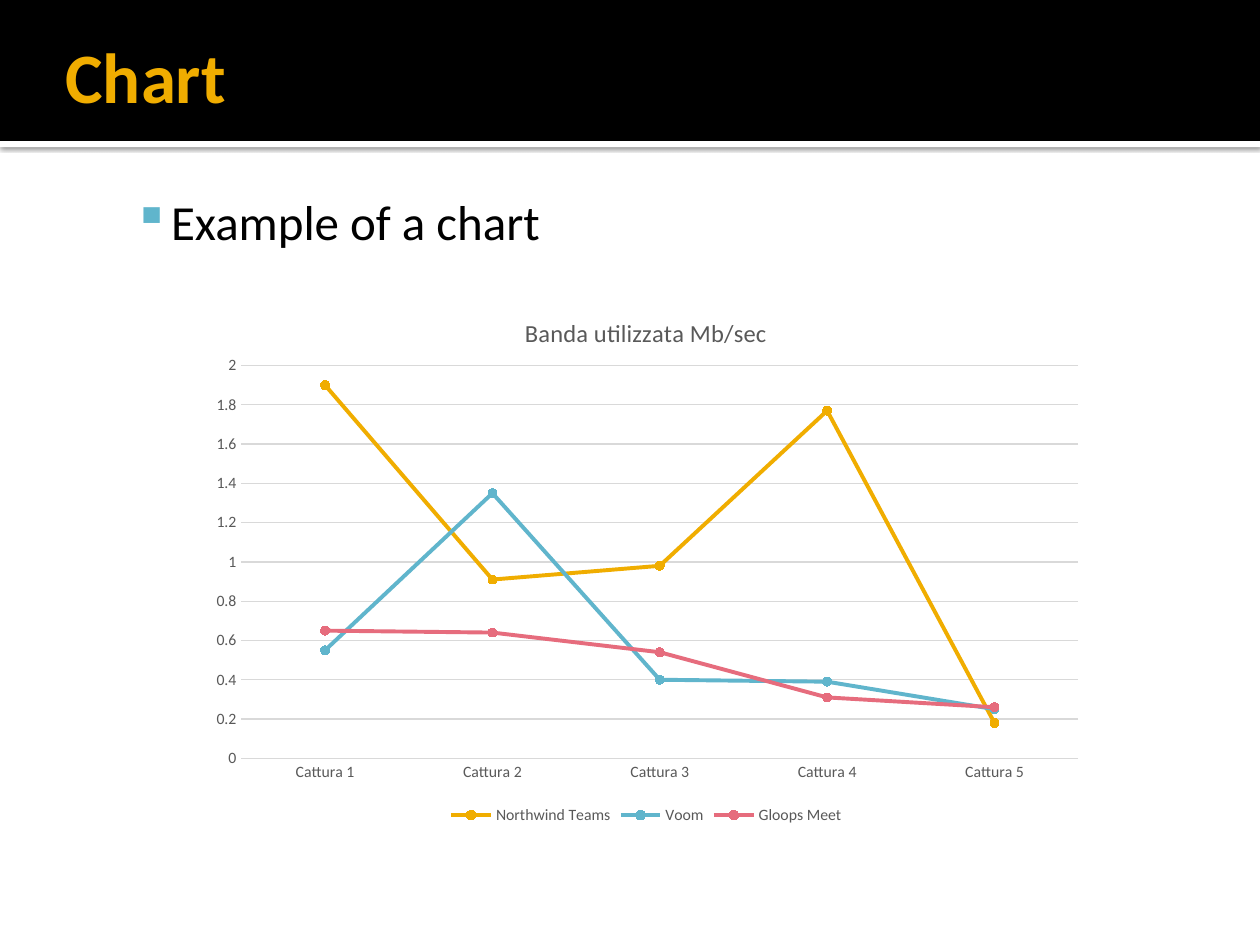
from lxml import etree
from pptx import Presentation
from pptx.chart.data import CategoryChartData
from pptx.dml.color import RGBColor
from pptx.enum.chart import XL_CHART_TYPE, XL_LEGEND_POSITION, XL_MARKER_STYLE, XL_TICK_MARK
from pptx.enum.shapes import MSO_SHAPE
from pptx.enum.text import MSO_ANCHOR, PP_ALIGN
from pptx.oxml.ns import qn
from pptx.util import Cm, Pt

LINE_MARKERS = XL_CHART_TYPE.LINE_MARKERS
LEGEND_BOTTOM = XL_LEGEND_POSITION.BOTTOM
CIRCLE = XL_MARKER_STYLE.CIRCLE
NO_TICK = XL_TICK_MARK.NONE
RECTANGLE = MSO_SHAPE.RECTANGLE
TOP, MIDDLE = MSO_ANCHOR.TOP, MSO_ANCHOR.MIDDLE
LEFT = PP_ALIGN.LEFT

FONT = "Calibri"
GOLD, BLUE, PINK = "F0AD00", "60B5CC", "E66C7D"
BLACK, WHITE, GREY, GRID = "000000", "FFFFFF", "595959", "D9D9D9"
TITLE_ONLY = 5

CATEGORIES = [f"Cattura {number}" for number in range(1, 6)]
SERIES = [
    ("Northwind Teams", GOLD, (1.9, 0.91, 0.98, 1.77, 0.18)),
    ("Voom", BLUE, (0.55, 1.35, 0.4, 0.39, 0.25)),
    ("Gloops Meet", PINK, (0.65, 0.64, 0.54, 0.31, 0.26)),
]


def color(value):
    return RGBColor.from_string(value)


def set_font(font, size, value, bold=False):
    font.name = FONT
    font.size = Pt(size)
    font.bold = bold
    font.color.rgb = color(value)


def set_line(line, value, width):
    line.color.rgb = color(value)
    line.width = Pt(width)


def set_frame(frame, anchor, margins):
    frame.word_wrap = True
    frame.vertical_anchor = anchor
    (frame.margin_left, frame.margin_top,
     frame.margin_right, frame.margin_bottom) = [Cm(margin) for margin in margins]


def add_band(slide, left, top, width, height, fill):
    band = slide.shapes.add_shape(RECTANGLE, Cm(left), Cm(top), Cm(width), Cm(height))
    band.fill.solid()
    band.fill.fore_color.rgb = color(fill)
    band.line.fill.background()
    band.shadow.inherit = False
    return band


def add_drop_shadow(shape):
    effects = shape._element.spPr.find(qn("a:effectLst"))
    shadow = etree.SubElement(effects, qn("a:outerShdw"), blurRad=str(Pt(2.5)),
                              dist=str(Pt(0.8)), dir="5400000", rotWithShape="0")
    shade = etree.SubElement(shadow, qn("a:srgbClr"), val=BLACK)
    etree.SubElement(shade, qn("a:alpha"), val="60000")


def add_header(slide, left, top, width, height):
    # White strip with its shadow, then the black band
    strip = add_band(slide, left, top + height, width, 0.13, WHITE)
    add_drop_shadow(strip)
    add_band(slide, left, top, width, height, BLACK)

    # Title, brought in front of the band
    title = slide.shapes.title
    slide.shapes._spTree.append(title._element)
    title.left, title.top = Cm(left + 1.07), Cm(top + 0.64)
    title.width, title.height = Cm(18.14), Cm(1.8)
    set_frame(title.text_frame, MIDDLE, (0.25, 0.08, 0.13, 0.13))
    title.text_frame.text = "Chart"
    paragraph = title.text_frame.paragraphs[0]
    paragraph.alignment = LEFT
    set_font(paragraph.font, 40.5, GOLD, bold=True)


def add_bullet_text(slide, left, top, width, height, text):
    box = slide.shapes.add_textbox(Cm(left), Cm(top), Cm(width), Cm(height))
    set_frame(box.text_frame, TOP, (0.15, 0.25, 0.25, 0.13))
    paragraph = box.text_frame.paragraphs[0]
    paragraph.text = text
    properties = paragraph._p.get_or_add_pPr()
    properties.set("marL", str(Cm(2.03)))
    properties.set("indent", str(Cm(-0.76)))
    bullet_color = etree.SubElement(properties, qn("a:buClr"))
    etree.SubElement(bullet_color, qn("a:srgbClr"), val=BLUE)
    etree.SubElement(properties, qn("a:buChar"), char="▪")
    set_font(paragraph.font, 28, BLACK)


def set_layout(parent, following, **fractions):
    """Place a chart part by fractions of the chart's size."""
    for old in parent.findall(qn("c:layout")):
        parent.remove(old)
    layout = etree.Element(qn("c:layout"))
    manual = etree.SubElement(layout, qn("c:manualLayout"))
    if "w" in fractions:
        etree.SubElement(manual, qn("c:layoutTarget"), val="inner")
    for axis in "xy":
        etree.SubElement(manual, qn(f"c:{axis}Mode"), val="edge")
    for name, fraction in fractions.items():
        etree.SubElement(manual, qn(f"c:{name}"), val=str(fraction))
    parent.find(qn(following)).addprevious(layout)


def add_bandwidth_chart(slide, left, top, width, height):
    data = CategoryChartData()
    data.categories = CATEGORIES
    for name, _, values in SERIES:
        data.add_series(name, values)
    chart = slide.shapes.add_chart(LINE_MARKERS, Cm(left), Cm(top),
                                   Cm(width), Cm(height), data).chart
    set_font(chart.font, 10, BLACK)

    # Title and legend
    chart.has_title = True
    title = chart.chart_title
    title.text_frame.text = "Banda utilizzata Mb/sec"
    set_font(title.text_frame.paragraphs[0].font, 14, GREY)
    title.include_in_layout = False
    set_layout(title._element, "c:overlay", x=0.36, y=0.05)
    chart.has_legend = True
    chart.legend.position = LEGEND_BOTTOM
    chart.legend.include_in_layout = False
    set_font(chart.legend.font, 9, GREY)

    # Axes
    for axis in (chart.category_axis, chart.value_axis):
        axis.major_tick_mark = axis.minor_tick_mark = NO_TICK
        set_font(axis.tick_labels.font, 9, GREY)
    set_line(chart.category_axis.format.line, GRID, 0.75)
    values = chart.value_axis
    values.minimum_scale, values.maximum_scale, values.major_unit = 0, 2, 0.2
    values.format.line.fill.background()
    set_line(values.major_gridlines.format.line, GRID, 0.75)

    # Series
    plot = chart.plots[0]
    plot.vary_by_categories = False
    set_layout(plot._element.getparent(), "c:lineChart", x=0.05, y=0.15, w=0.93, h=0.72)
    for series, (_, value, _) in zip(plot.series, SERIES):
        series.smooth = False
        set_line(series.format.line, value, 2.25)
        marker = series.marker
        marker.style, marker.size = CIRCLE, 5
        marker.format.fill.solid()
        marker.format.fill.fore_color.rgb = color(value)
        set_line(marker.format.line, value, 0.75)


def main():
    presentation = Presentation()
    presentation.slide_width, presentation.slide_height = Cm(25.4), Cm(19.05)
    slide = presentation.slides.add_slide(presentation.slide_layouts[TITLE_ONLY])
    add_header(slide, 0, 0, 25.4, 2.84)
    add_bandwidth_chart(slide, 3.96, 5.72, 18.14, 11)
    add_bullet_text(slide, 1.27, 3.61, 21.79, 5.08, "Example of a chart")
    presentation.save("out.pptx")


if __name__ == "__main__":
    main()
